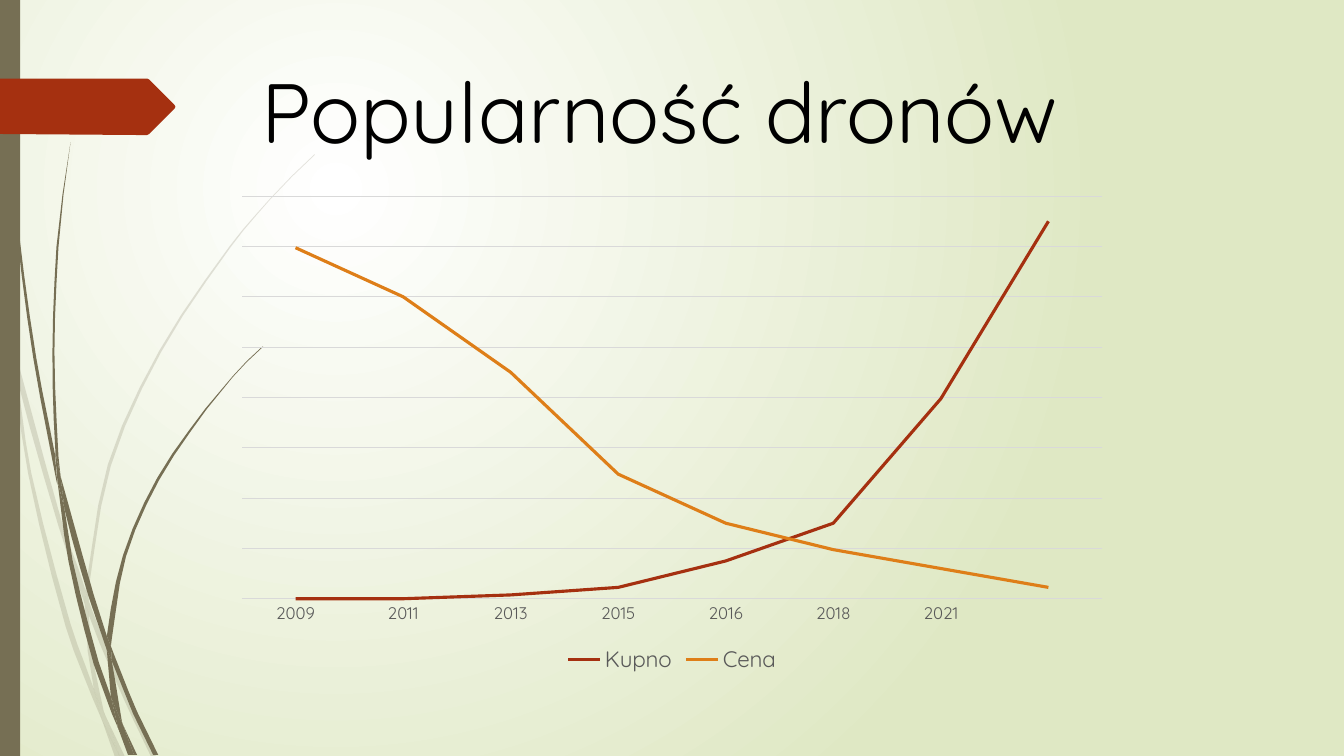
import math

import pptx
import pptx.chart.data
import pptx.dml.color
import pptx.enum.chart
import pptx.enum.text
import pptx.enum.shapes
import pptx.oxml
import pptx.oxml.ns
import pptx.util
from pptx.util import Inches

FONT = "Quicksand"
COLORS = {
    "white": "FFFFFF", "sage": "DFE8C4", "olive": "766F54", "rust": "A53010",
    "orange": "DE7E18", "black": "000000", "gray": "595959", "grid": "D9D9D9",
}

# Outlines in inches; long curves are smoothed between these anchors
PALE_GRASS = [
    [(.11, 3.5), (.09, 3.22), (0, 2.82), (0, 2.99), (.1, 3.44)],
    [(.58, 5.22), (.84, 5.99), (.85, 5.86), (.62, 5.2), (.14, 3.45), (.17, 3.76)],
    [(.92, 6.07), (.88, 5.96), (.88, 6.1), (1.23, 6.94), (1.5, 7.51), (1.55, 7.51), (1.27, 6.92)],
    [(1.19, 7.51), (1.24, 7.51), (1.05, 7.11)],
    [(.93, 6.83), (.7, 6.19), (.31, 4.69), (.17, 3.76), (.11, 3.5), (.28, 4.7),
     (.65, 6.21), (.92, 6.93), (1.01, 7.14), (.99, 7.07)],
    [(.84, 5.99), (.87, 6.46), (.93, 6.83), (.96, 6.92), (1.05, 7.11), (1.03, 7.06),
     (.91, 6.46), (.88, 6.1), (.88, 6.08)],
    [(.88, 5.84), (1.1, 4.62), (1.6, 3.49), (2.29, 2.45), (2.68, 1.98), (2.9, 1.75),
     (3.12, 1.54), (3.12, 1.53), (2.89, 1.75), (2.68, 1.97), (2.28, 2.44), (1.58, 3.48),
     (1.07, 4.61), (.85, 5.84), (.85, 5.86), (.88, 5.96)],
    [(1.01, 7.14), (1.14, 7.51), (1.19, 7.51)],
    [(.88, 6.08), (.88, 6.1), (.88, 5.96), (.85, 5.86), (.84, 5.99)],
    [(.96, 6.92), (.93, 6.83), (.99, 7.07), (1.01, 7.14), (1.19, 7.51), (1.05, 7.11)],
]
DARK_GRASS = [
    [(.07, 1.1), (.17, 2.33), (.33, 3.55), (.56, 4.77), (.57, 4.81), (.55, 4.57), (.55, 4.53),
     (.36, 3.55), (.19, 2.32), (.08, 1.09), (.05, .48), (.04, 0), (.03, 0), (.04, .48)],
    [(.88, 5.92), (1.06, 6.45), (1.06, 6.31), (.93, 5.9), (.6, 4.72), (.64, 5.05)],
    [(1.13, 6.49), (1.1, 6.41), (1.11, 6.56), (1.32, 7.08), (1.52, 7.49), (1.57, 7.49), (1.36, 7.06)],
    [(1.1, 6.91), (.98, 6.57), (.72, 5.56), (.64, 5.05), (.57, 4.77), (.68, 5.57),
     (.93, 6.59), (1.11, 7.08), (1.17, 7.22), (1.16, 7.17)],
    [(.6, 4.72), (.58, 4.53), (.54, 3.49), (.58, 2.45), (.63, 1.93), (.7, 1.41),
     (.62, 1.93), (.56, 2.45), (.52, 3.49), (.55, 4.49)],
    [(1.33, 7.49), (1.36, 7.49), (1.22, 7.19)],
    [(.57, 4.77), (.64, 5.05), (.6, 4.72), (.55, 4.49), (.55, 4.53)],
    [(1.11, 6.33), (1.25, 5.52), (1.58, 4.76), (2.05, 4.06), (2.31, 3.74), (2.45, 3.59),
     (2.61, 3.44), (2.6, 3.44), (2.45, 3.58), (2.31, 3.73), (2.04, 4.05), (1.56, 4.74),
     (1.22, 5.51), (1.06, 6.31), (1.1, 6.41)],
    [(1.17, 7.22), (1.27, 7.49), (1.31, 7.49)],
    [(1.06, 6.45), (1.1, 6.91), (1.16, 7.06), (1.22, 7.19), (1.21, 7.16), (1.11, 6.56), (1.09, 6.51)],
    [(1.06, 6.45), (1.09, 6.51), (1.11, 6.56), (1.1, 6.41), (1.06, 6.31)],
    [(1.16, 7.06), (1.1, 6.91), (1.16, 7.17), (1.17, 7.22), (1.3, 7.49), (1.33, 7.49), (1.22, 7.19)],
]
TAG = [(0, .78), (1.46, .78), (1.48, .79), (1.73, 1.04), (1.74, 1.06), (1.73, 1.08),
       (1.48, 1.33), (1.46, 1.34), (1.36, 1.34), (0, 1.33)]

YEARS = ["2009", "2011", "2013", "2015", "2016", "2018", "2021", ""]
SERIES = [
    ("Kupno", "rust", [0, 0, 1, 3, 10, 20, 53, 100]),
    ("Cena", "orange", [93, 80, 60, 33, 20, 13, 8, 3]),
]
GRID_STEP = 13.33


def rgb(name):
    return pptx.dml.color.RGBColor.from_string(COLORS[name])


def direction(start, end):
    length = math.dist(start, end)
    return (end[0] - start[0]) / length, (end[1] - start[1]) / length


def tangent(before, here, after):
    """Return the smooth direction at an anchor, or None at a corner."""
    into, out = direction(before, here), direction(here, after)
    if into[0] * out[0] + into[1] * out[1] < 0.8:
        return None
    return direction(before, after)


def smooth(anchors):
    count = len(anchors)
    tangents = [tangent(anchors[i - 1], anchors[i], anchors[(i + 1) % count])
                for i in range(count)]
    points = []
    for i, start in enumerate(anchors):
        following = (i + 1) % count
        end = anchors[following]
        straight, length = direction(start, end), math.dist(start, end)
        leave, arrive = tangents[i] or straight, tangents[following] or straight
        reach, steps = length / 3, 3 if length > 0.6 else 1
        for step in range(steps):
            t = step / steps
            points.append(tuple(
                (1 - t) ** 3 * start[k]
                + 3 * t * (1 - t) ** 2 * (start[k] + reach * leave[k])
                + 3 * t ** 2 * (1 - t) * (end[k] - reach * arrive[k])
                + t ** 3 * end[k] for k in (0, 1)))
    return [(Inches(x), Inches(y)) for x, y in points]


def paint(shape, color, opacity=100):
    shape.shadow.inherit = False
    shape.fill.solid()
    shape.fill.fore_color.rgb = rgb(color)
    shape.line.fill.background()
    if opacity < 100:
        tint = shape.fill._xPr.find(".//" + pptx.oxml.ns.qn("a:srgbClr"))
        alpha = tint.makeelement(pptx.oxml.ns.qn("a:alpha"), {"val": str(opacity * 1000)})
        tint.append(alpha)


def add_outline(page, points, color, opacity=100):
    builder = page.shapes.build_freeform(*points[0])
    builder.add_line_segments(points[1:], close=True)
    shape = builder.convert_to_shape()
    paint(shape, color, opacity)
    return shape


def add_grass(page, outlines, opacity):
    blades = [add_outline(page, smooth(anchors), "olive", opacity) for anchors in outlines]
    page.shapes.add_group_shape(blades)


def set_background(page):
    fill = page.background.fill
    fill.gradient()
    for stop, position, color in zip(fill.gradient_stops, (0, 1), ("white", "sage")):
        stop.position = position
        stop.color.rgb = rgb(color)
    linear = page._element.find(".//" + pptx.oxml.ns.qn("a:lin"))
    radial = pptx.oxml.parse_xml(
        f'<a:path {pptx.oxml.ns.nsdecls("a")} path="circle">'
        '<a:fillToRect l="50000" t="50000" r="100000" b="100000"/></a:path>')
    linear.getparent().replace(linear, radial)


def set_font(font, size, color):
    font.name, font.size = FONT, pptx.util.Pt(size)
    font.color.rgb = rgb(color)


def set_line(line, color, width):
    line.color.rgb = rgb(color)
    line.width = pptx.util.Pt(width)


def add_title(page, text):
    title = page.shapes.title
    title.left, title.top, title.width, title.height = map(Inches, (2.49, .54, 8.62, 1.11))
    frame = title.text_frame
    frame.text = text
    frame.word_wrap = True
    frame.auto_size = pptx.enum.text.MSO_AUTO_SIZE.SHAPE_TO_FIT_TEXT
    frame.vertical_anchor = pptx.enum.text.MSO_ANCHOR.TOP
    para = frame.paragraphs[0]
    para.alignment = pptx.enum.text.PP_ALIGN.LEFT
    set_font(para.font, 60, "black")
    page.shapes._spTree.append(title._element)


def add_line_chart(page):
    data = pptx.chart.data.CategoryChartData()
    data.categories = YEARS
    for name, _, values in SERIES:
        data.add_series(name, values)
    chart = page.shapes.add_chart(
        pptx.enum.chart.XL_CHART_TYPE.LINE, *map(Inches, (2.22, 1.85, 8.89, 4.87)), data).chart
    chart.has_title = False
    set_font(chart.font, 10, "black")
    plot = chart.plots[0]
    plot.vary_by_categories = False
    for series, (_, color, _) in zip(plot.series, SERIES):
        series.smooth = False
        set_line(series.format.line, color, 2.25)

    # Axes
    for axis in (chart.category_axis, chart.value_axis):
        axis.major_tick_mark = axis.minor_tick_mark = pptx.enum.chart.XL_TICK_MARK.NONE
        set_font(axis.tick_labels.font, 12, "gray")
    set_line(chart.category_axis.format.line, "grid", .75)
    scale = chart.value_axis
    scale.minimum_scale, scale.maximum_scale = 0, round(8 * GRID_STEP, 2)
    scale.major_unit = GRID_STEP
    scale.tick_label_position = pptx.enum.chart.XL_TICK_LABEL_POSITION.NONE
    scale.format.line.fill.background()
    set_line(scale.major_gridlines.format.line, "grid", .75)

    # Legend and plot area
    chart.has_legend = True
    chart.legend.position = pptx.enum.chart.XL_LEGEND_POSITION.BOTTOM
    chart.legend.include_in_layout = False
    set_font(chart.legend.font, 16, "gray")
    area = chart._chartSpace.chart.plotArea
    for old in area.findall(pptx.oxml.ns.qn("c:layout")):
        area.remove(old)
    sizes = "".join(f'<c:{key} val="{value}"/>' for key, value in (
        ("layoutTarget", "inner"), ("xMode", "edge"), ("yMode", "edge"),
        ("x", .02), ("y", .02), ("w", .96), ("h", .82)))
    area.insert(0, pptx.oxml.parse_xml(
        f'<c:layout {pptx.oxml.ns.nsdecls("c")}><c:manualLayout>{sizes}</c:manualLayout></c:layout>'))


def main():
    deck = pptx.Presentation()
    deck.slide_width, deck.slide_height = Inches(13.33), Inches(7.5)
    page = deck.slides.add_slide(deck.slide_layouts[5])
    set_background(page)

    # Side decoration
    add_grass(page, PALE_GRASS, 20)
    add_grass(page, DARK_GRASS, 100)
    strip = page.shapes.add_shape(
        pptx.enum.shapes.MSO_SHAPE.RECTANGLE, 0, 0, Inches(.2), Inches(7.5))
    paint(strip, "olive")
    add_outline(page, [(Inches(x), Inches(y)) for x, y in TAG], "rust")

    # Content
    add_line_chart(page)
    add_title(page, "Popularność dronów")
    deck.save("out.pptx")


if __name__ == "__main__":
    main()
